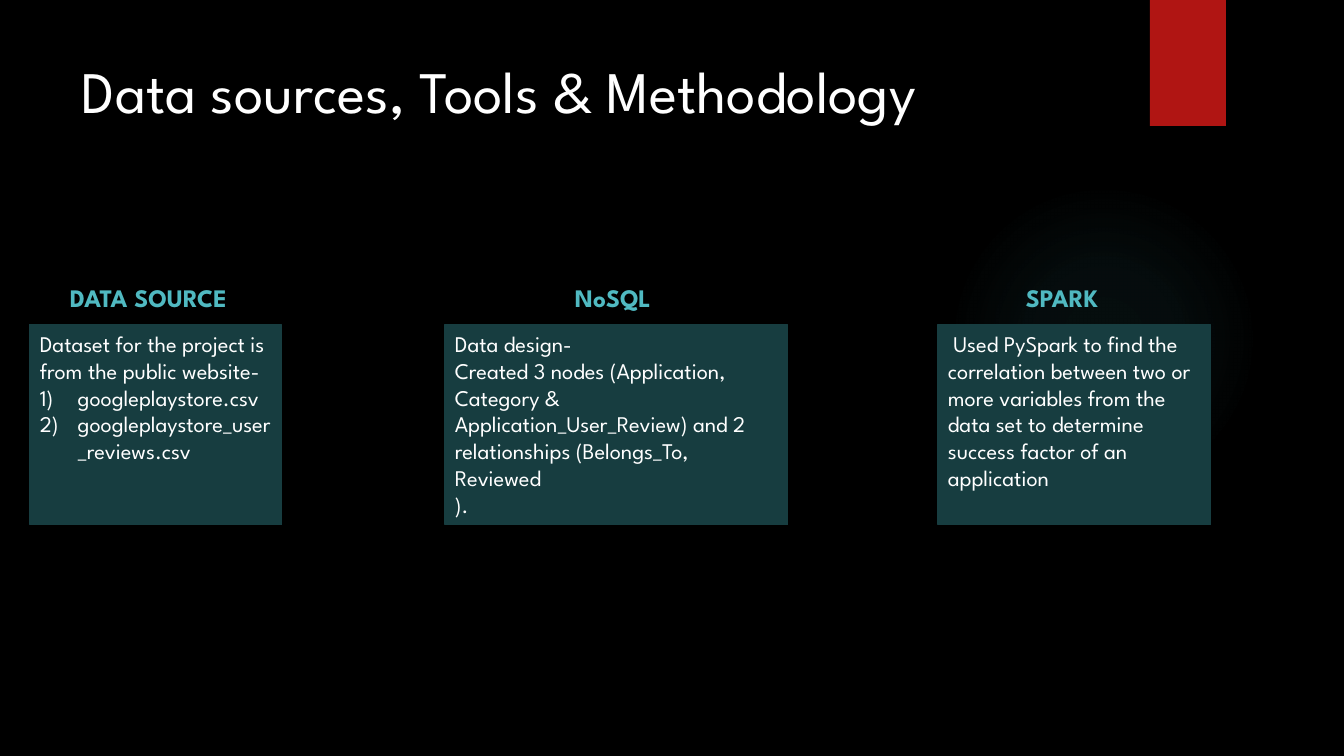
from lxml import etree
from pptx import Presentation
from pptx.dml.color import RGBColor
from pptx.enum.shapes import MSO_SHAPE as Shape
from pptx.enum.text import MSO_ANCHOR as Anchor, PP_ALIGN as Align
from pptx.oxml import parse_xml
from pptx.oxml.ns import nsdecls, qn
from pptx.util import Emu, Pt

FONT = "League Spartan"
COLORS = {
    "background": "000000",
    "text": "FFFFFF",
    "accent": "50B9C1",
    "panel": "173D40",
    "bookmark": "B01513",
}
HEADING_TOP, HEADING_HEIGHT = 277, 40
PANEL_TOP, PANEL_HEIGHT = 325, 200


def px(length):
    """Turn pixels into EMU."""
    return Emu(round(length * 914400 / 100.8))


def color(name):
    """Look up a named colour."""
    return RGBColor.from_string(COLORS[name])


def add_block(page, kind, left, top, width, height, fill=None, line=None):
    """Add a flat preset shape."""
    block = page.shapes.add_shape(kind, px(left), px(top), px(width), px(height))
    block.shadow.inherit = False
    if fill:
        block.fill.solid()
        block.fill.fore_color.rgb = color(fill)
    if line:
        block.line.color.rgb = color(line)
        block.line.width = Pt(0.75)
    else:
        block.line.fill.background()
    return block


def add_glow(page, left, top, size):
    """Add a faint circle that fades outwards."""
    glow = add_block(page, Shape.OVAL, left, top, size, size)
    stops = "".join(
        f'<a:gs pos="{place * 1000}"><a:srgbClr val="{COLORS["accent"]}">'
        f'<a:alpha val="{alpha * 1000}"/></a:srgbClr></a:gs>'
        for place, alpha in ((0, 7), (36, 6), (69, 0))
    )
    gradient = parse_xml(
        f'<a:gradFill {nsdecls("a")} rotWithShape="1"><a:gsLst>{stops}</a:gsLst>'
        '<a:path path="circle"><a:fillToRect l="50000" t="50000" r="50000" b="50000"/>'
        "</a:path></a:gradFill>"
    )
    properties = glow.element.spPr
    properties.find(qn("a:prstGeom")).addnext(gradient)


def add_bookmark(page, left, top, width, height):
    """Add the red tab with its soft shadow."""
    bookmark = add_block(page, Shape.RECTANGLE, left, top, width, height, fill="bookmark")
    effects = bookmark.element.spPr.find(qn("a:effectLst"))
    effects.append(parse_xml(
        f'<a:outerShdw {nsdecls("a")} blurRad="{Pt(3)}" dist="{Pt(2)}" dir="5400000" '
        'rotWithShape="0"><a:srgbClr val="000000"><a:alpha val="45000"/></a:srgbClr>'
        "</a:outerShdw>"
    ))


def number_para(para):
    """Number a paragraph with a hanging indent."""
    properties = para._p.get_or_add_pPr()
    properties.set("marL", "342900")
    properties.set("indent", "-342900")
    etree.SubElement(properties, qn("a:buFont"), typeface="+mj-lt")
    etree.SubElement(properties, qn("a:buAutoNum"), type="arabicParenR")


def write(box, text, size=16, ink="text", bold=False, numbered_from=None):
    """Fill a box with one paragraph per line of text."""
    frame = box.text_frame
    frame.word_wrap = True
    frame.vertical_anchor = Anchor.TOP
    for index, content in enumerate(text.split("\n")):
        para = frame.add_paragraph() if index else frame.paragraphs[0]
        para.alignment = Align.LEFT
        if numbered_from is not None and index >= numbered_from:
            number_para(para)
        span = para.add_run()
        span.text = content
        span.font.name = FONT
        span.font.size = Pt(size)
        span.font.bold = bold
        span.font.color.rgb = color(ink)


def add_label(page, text, left, top, width, height, **style):
    """Add a plain text box."""
    box = page.shapes.add_textbox(px(left), px(top), px(width), px(height))
    write(box, text, **style)


def add_topic(page, heading, heading_left, heading_width, body, left, width, **style):
    """Add a heading above its filled panel."""
    add_label(page, heading, heading_left, HEADING_TOP, heading_width, HEADING_HEIGHT,
              size=18, ink="accent", bold=True)
    panel = add_block(page, Shape.RECTANGLE, left, PANEL_TOP, width, PANEL_HEIGHT,
                      fill="panel", line="panel")
    write(panel, body, **style)


def main():
    """Build the slide and save it."""
    deck = Presentation()
    deck.slide_width, deck.slide_height = px(1344), px(756)
    page = deck.slides.add_slide(deck.slide_layouts[6])
    page.background.fill.solid()
    page.background.fill.fore_color.rgb = color("background")

    add_glow(page, 949, 184, 310)
    add_bookmark(page, 1150, 0, 76, 126)
    add_label(page, "Data sources, Tools & Methodology", 72, 50, 1037, 154, size=42)

    add_topic(page, "DATA SOURCE", 60, 221,
              "Dataset for the project is from the public website-\n"
              "googleplaystore.csv\ngoogleplaystore_user_reviews.csv",
              30, 252, numbered_from=1)
    add_topic(page, "NoSQL", 565, 118,
              "Data design-\nCreated 3 nodes (Application, Category & "
              "Application_User_Review) and 2 relationships (Belongs_To, Reviewed\n).",
              445, 343)
    add_topic(page, "SPARK", 1016, 118,
              " Used PySpark to find the correlation between two or more variables "
              "from the data set to determine success factor of an application",
              938, 273)
    deck.save("out.pptx")


if __name__ == "__main__":
    main()
